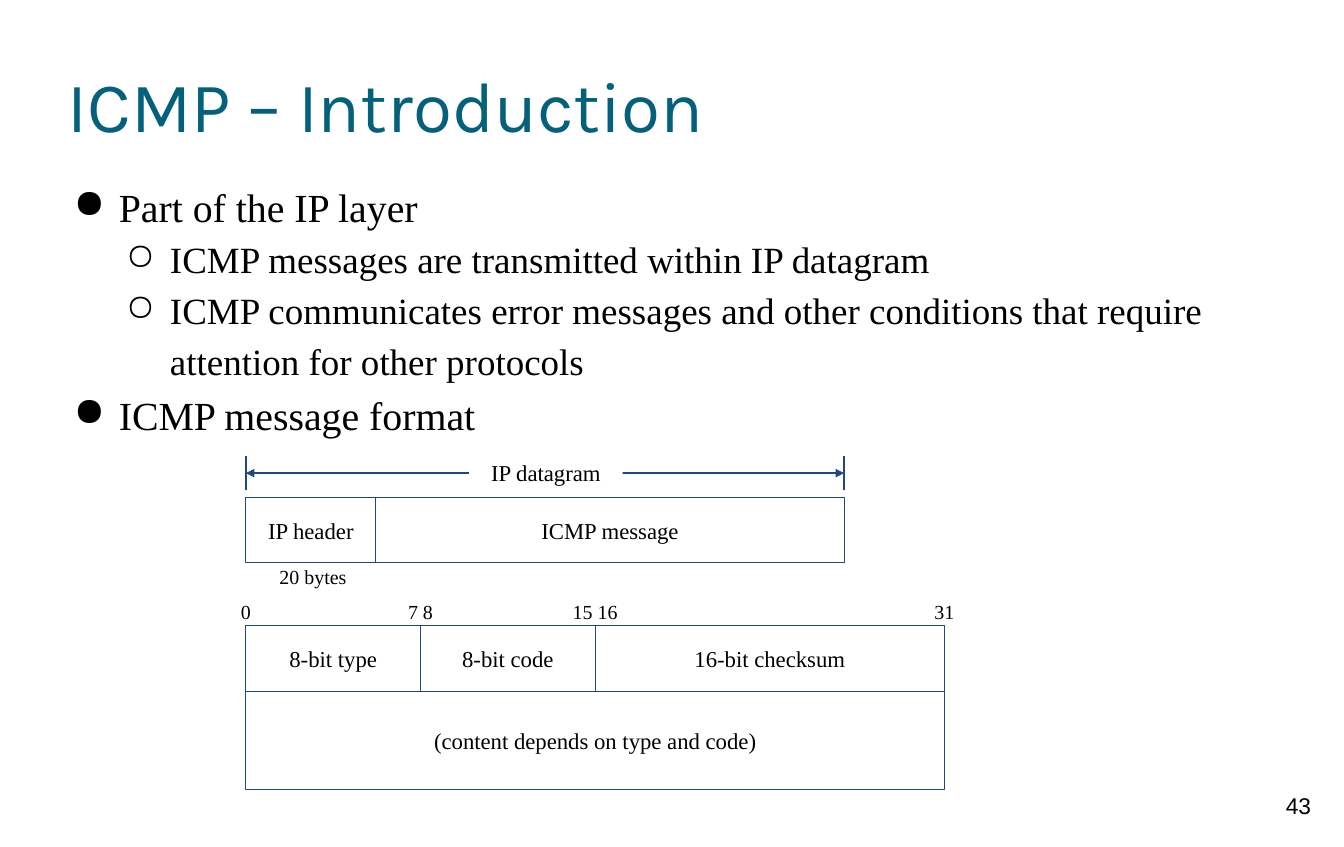
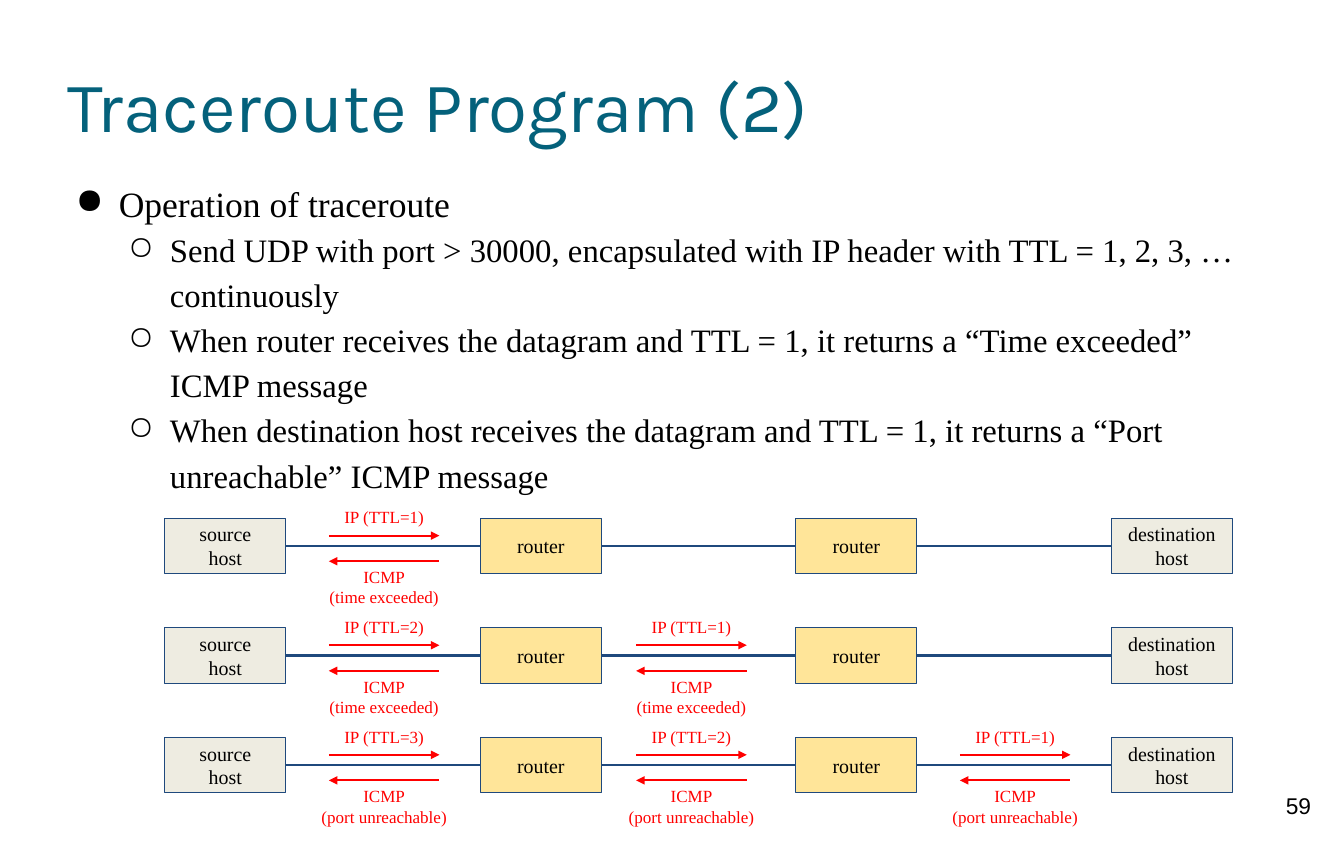
from lxml.etree import SubElement
from pptx import Presentation
from pptx.dml.color import RGBColor
from pptx.enum.shapes import MSO_CONNECTOR, MSO_SHAPE
from pptx.enum.text import MSO_ANCHOR, MSO_AUTO_SIZE, PP_ALIGN
from pptx.oxml.ns import qn
from pptx.util import Inches, Pt

COLORS = {
    "title": "04617B",
    "text": "000000",
    "line": "1F497D",
    "packet": "FF0000",
    "host": "EEECE1",
    "router": "FFE599",
    "paper": "FFFFFF",
}
SERIF = "Times New Roman"
WIDE, HIGH = 13.12, 8.27
LEFT = 0.66  # left edge of title and body
BODY = 1.71  # top of the body


def color(name):
    return RGBColor.from_string(COLORS[name])


def place(shape, x, y, w, h):
    shape.left, shape.top = Inches(x), Inches(y)
    shape.width, shape.height = Inches(w), Inches(h)


def style(para, size, tint="text", face=SERIF, align=PP_ALIGN.CENTER):
    para.alignment = align
    font = para.font
    font.size, font.name = Pt(size), face
    font.color.rgb = color(tint)


def fit(frame, pad=0.1, anchor=MSO_ANCHOR.TOP):
    frame.word_wrap = True
    frame.auto_size = MSO_AUTO_SIZE.NONE
    frame.vertical_anchor = anchor
    frame.margin_left = frame.margin_right = Inches(pad)
    frame.margin_top = frame.margin_bottom = Inches(pad)


def label(shapes, text, x, y, w, h, size, **look):
    box = shapes.add_textbox(Inches(x), Inches(y), Inches(w), Inches(h))
    fit(box.text_frame)
    para = box.text_frame.paragraphs[0]
    para.text = text
    style(para, size, **look)
    return box


def block(shapes, text, x, y, w, h, size=16, fill=None):
    """Outlined rectangle with centred text."""
    box = shapes.add_shape(MSO_SHAPE.RECTANGLE, Inches(x), Inches(y), Inches(w), Inches(h))
    box.shadow.inherit = False
    if fill:
        box.fill.solid()
        box.fill.fore_color.rgb = color(fill)
    else:
        box.fill.background()
    box.line.color.rgb = color("line")
    box.line.width = Pt(0.75)
    fit(box.text_frame, anchor=MSO_ANCHOR.MIDDLE)
    para = box.text_frame.paragraphs[0]
    para.text = text
    style(para, size)


def rule(shapes, x1, y1, x2, y2, tint="line", ends=()):
    """Straight line; ends names the arrowheads, headEnd before tailEnd."""
    line = shapes.add_connector(
        MSO_CONNECTOR.STRAIGHT, Inches(x1), Inches(y1), Inches(x2), Inches(y2))
    line.line.color.rgb = color(tint)
    line.line.width = Pt(1.5)
    for end in ends:
        SubElement(line.line._get_or_add_ln(), qn("a:" + end), type="triangle")
    SubElement(line._element.spPr, qn("a:effectLst"))


def bullets(slide, items, height, sizes, hangs):
    """Two-level list; sizes and hangs are given by level."""
    box = slide.shapes.add_textbox(
        Inches(LEFT), Inches(BODY), Inches(11.84), Inches(height))
    frame = box.text_frame
    fit(frame, pad=0)
    for i, (level, text) in enumerate(items):
        para = frame.add_paragraph() if i else frame.paragraphs[0]
        para.text, para.level = text, level
        para.line_spacing = 1.15
        props = para._p.get_or_add_pPr()
        props.set("marL", str(Inches(0.5 * (level + 1))))
        props.set("indent", str(-Inches(hangs[level])))
        tint = SubElement(props, qn("a:buClr"))
        SubElement(tint, qn("a:srgbClr"), val=COLORS["text"])
        SubElement(props, qn("a:buChar"), char="●○"[level])
        style(para, sizes[level], align=PP_ALIGN.LEFT)


def page(deck, title, number):
    slide = deck.slides.add_slide(deck.slide_layouts[5])
    slide.background.fill.solid()
    slide.background.fill.fore_color.rgb = color("paper")
    head = slide.shapes.title
    place(head, LEFT, 0.33, WIDE - 2 * LEFT, BODY - 0.33)
    head.text_frame.text = title
    fit(head.text_frame, pad=0, anchor=MSO_ANCHOR.MIDDLE)
    style(head.text_frame.paragraphs[0], 50, "title", "Karla", PP_ALIGN.LEFT)
    label(slide.shapes, number, 12.28, 7.63, 0.79, 0.63, 16, face="Arial")
    return slide


def datagram(shapes, x, y):
    head, width, high = 1.27, 5.84, 0.63
    mid, end = y - 0.24, x + width
    rule(shapes, x, mid, end, mid, ends=("headEnd", "tailEnd"))
    for side in (x, end):
        rule(shapes, side, mid - 0.17, side, mid + 0.16)
    name = label(shapes, "IP datagram", 4.58, mid - 0.24, 1.5, 0.47, 16)
    name.fill.solid()
    name.fill.fore_color.rgb = color("paper")
    block(shapes, "IP header", x, y, head, high)
    block(shapes, "ICMP message", x + head, y, width - head, high)
    label(shapes, "20 bytes", x + 0.23, y + 0.55, 0.96, 0.44, 14, align=PP_ALIGN.LEFT)


def message(shapes, x, y):
    """Field layout on a grid of 32 bits."""
    bit, high, wide = 6.82 / 32, 0.64, 0.66
    fields = [("8-bit type", 0, 8), ("8-bit code", 8, 8), ("16-bit checksum", 16, 16)]
    for text, start, bits in fields:
        block(shapes, text, x + start * bit, y, bits * bit, high)
    block(shapes, "(content depends on type and code)", x, y + high, 32 * bit, 0.96)
    for text, start in [("0", 0), ("7 8", 8), ("15 16", 16), ("31", 32)]:
        label(shapes, text, x + start * bit - wide / 2, y - 0.36, wide, 0.44, 14)


def hop(shapes, mid, y, ttl, reply):
    """Packet sent to the right and the ICMP answer sent back."""
    half, wide = 0.54, 1.45
    rule(shapes, mid - half, y - 0.1, mid + half, y - 0.1, "packet", ("tailEnd",))
    rule(shapes, mid - half, y + 0.15, mid + half, y + 0.15, "packet", ("headEnd",))
    x = mid - wide / 2
    label(shapes, f"IP (TTL={ttl})", x, y - 0.48, wide, 0.4, 12, tint="packet")
    label(shapes, f"ICMP\n({reply})", x, y + 0.1, wide, 0.61, 12, tint="packet")


def trace(shapes, y, hops, reply):
    """One row: four nodes, their links and the hops probed."""
    x, step, wide, high = 1.61, 3.08, 1.18, 0.54
    mid = y + high / 2
    nodes = [("source\nhost", "host"), ("router", "router"),
             ("router", "router"), ("destination\nhost", "host")]
    for i, (text, fill) in enumerate(nodes):
        left = x + i * step
        block(shapes, text, left, y, wide, high, 14, fill)
        if i:
            rule(shapes, left - step + wide, mid, left, mid)
    for i, centre in enumerate((3.75, 6.75, 9.91)[:hops]):
        hop(shapes, centre, mid, hops - i, reply)


def group(slide):
    return slide.shapes.add_group_shape().shapes


def main():
    deck = Presentation()
    deck.slide_width, deck.slide_height = Inches(WIDE), Inches(HIGH)

    intro = page(deck, "ICMP – Introduction", "43")
    bullets(intro, [
        (0, "Part of the IP layer"),
        (1, "ICMP messages are transmitted within IP datagram"),
        (1, "ICMP communicates error messages and other conditions that require "
            "attention for other protocols"),
        (0, "ICMP message format"),
    ], 2.54, (28, 26), (0.44, 0.43))
    datagram(group(intro), 2.4, 4.86)
    message(group(intro), 2.4, 6.11)

    route = page(deck, "Traceroute Program (2)", "59")
    bullets(route, [
        (0, "Operation of traceroute"),
        (1, "Send UDP with port > 30000, encapsulated with IP header with "
            "TTL = 1, 2, 3, … continuously"),
        (1, "When router receives the datagram and TTL = 1, it returns a "
            "“Time exceeded” ICMP message"),
        (1, "When destination host receives the datagram and TTL = 1, it returns a "
            "“Port unreachable” ICMP message"),
    ], 3.1, (25, 23), (0.42, 0.41))
    replies = ("time exceeded", "time exceeded", "port unreachable")
    for row, reply in enumerate(replies):
        trace(group(route), 5.06 + row * 1.07, row + 1, reply)

    deck.save("out.pptx")


if __name__ == "__main__":
    main()
